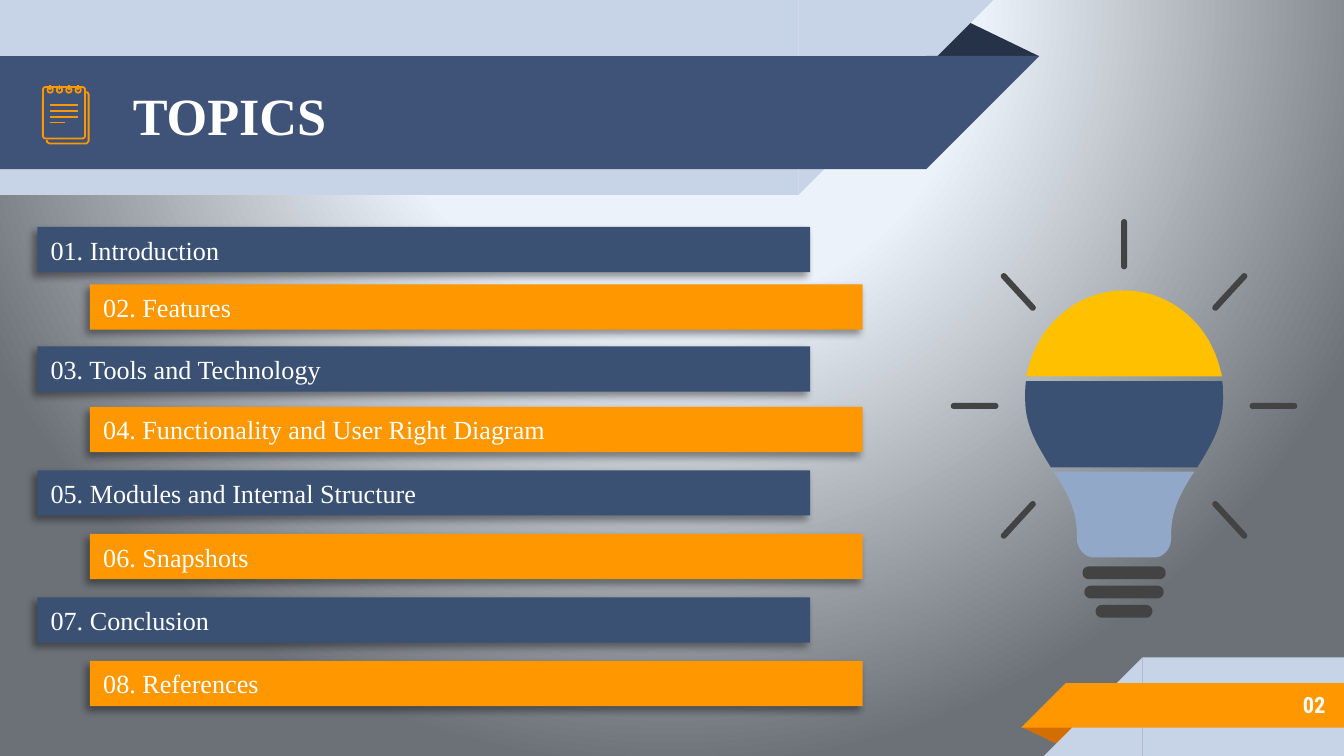
import math
import pptx
import pptx.dml.color
import pptx.enum.shapes
import pptx.enum.text
import pptx.oxml
import pptx.oxml.ns
import pptx.util

Pt = pptx.util.Pt
RGB = pptx.dml.color.RGBColor
SHAPE = pptx.enum.shapes.MSO_SHAPE
LINE = pptx.enum.shapes.MSO_CONNECTOR.STRAIGHT
MIDDLE = pptx.enum.text.MSO_ANCHOR.MIDDLE
ALIGN = pptx.enum.text.PP_ALIGN
qn = pptx.oxml.ns.qn

WHITE = RGB(0xFF, 0xFF, 0xFF)
PALE = RGB(0xC7, 0xD3, 0xE6)
NAVY = RGB(0x3F, 0x53, 0x78)
BLUE = RGB(0x3A, 0x51, 0x73)
DARK = RGB(0x26, 0x32, 0x48)
ORANGE = RGB(0xFF, 0x98, 0x00)
RUST = RGB(0xD2, 0x6F, 0x00)
YELLOW = RGB(0xFF, 0xC0, 0x00)
SKY = RGB(0x92, 0xA8, 0xC8)
GREY = RGB(0x43, 0x43, 0x43)

NS = 'xmlns:a="http://schemas.openxmlformats.org/drawingml/2006/main"'
GRADIENT = f'''<a:gradFill {NS} rotWithShape="1"><a:gsLst>
<a:gs pos="0"><a:srgbClr val="EFF4FB"/></a:gs>
<a:gs pos="40000"><a:srgbClr val="ECF2F9"/></a:gs>
<a:gs pos="100000"><a:srgbClr val="6C7177"/></a:gs></a:gsLst>
<a:path path="circle"><a:fillToRect l="50000" t="-80000" r="50000" b="180000"/></a:path>
</a:gradFill>'''
SHADOW = f'''<a:outerShdw {NS} blurRad="50800" dist="38100" dir="8100000" algn="tr"
rotWithShape="0"><a:srgbClr val="000000"><a:alpha val="40000"/></a:srgbClr></a:outerShdw>'''

TITLE = {"name": "Times New Roman", "size": Pt(28), "bold": True}
TOPIC = {"name": "Times New Roman", "size": Pt(14), "bold": False}
NUMBER = {"name": "Roboto Condensed", "size": Pt(12), "bold": True}


class Slide:
    stroke = 0.96

    def __init__(self, prs):
        self.s = prs.slides.add_slide(prs.slide_layouts[6])
        self.shapes = self.s.shapes

    def group(self):
        self.shapes = self.s.shapes.add_group_shape().shapes

    def ungroup(self):
        self.shapes = self.s.shapes

    def background(self):
        fill = self.s.background.fill
        fill.solid()
        old = self.s.element.find(".//" + qn("p:bgPr"))[0]
        old.getparent().replace(old, pptx.oxml.parse_xml(GRADIENT))

    def paint(self, sp, fill):
        sp.shadow.inherit = False
        if fill is None:
            sp.fill.background()
            sp.line.color.rgb = ORANGE
            sp.line.width = Pt(self.stroke)
        else:
            sp.fill.solid()
            sp.fill.fore_color.rgb = fill
            sp.line.fill.background()
        return sp

    def shape(self, kind, x, y, w, h, fill=None, adj=None, rot=0, flip=False):
        sp = self.shapes.add_shape(kind, Pt(x), Pt(y), Pt(w), Pt(h))
        if adj is not None:
            sp.adjustments[0] = adj
        sp.rotation = rot
        if flip:
            sp.element.spPr.find(qn("a:xfrm")).set("flipH", "1")
        return self.paint(sp, fill)

    def label(self, sp, text, style, align=ALIGN.LEFT, inset=None):
        tf = sp.text_frame
        tf.word_wrap = True
        tf.vertical_anchor = MIDDLE
        if inset is not None:
            for side in ("left", "top", "right", "bottom"):
                setattr(tf, f"margin_{side}", Pt(inset))
        p = tf.paragraphs[0]
        p.alignment = align
        r = p.add_run()
        r.text = text
        for key, value in style.items():
            setattr(r.font, key, value)
        r.font.color.rgb = WHITE

    def text(self, x, y, w, h, text, style, align=ALIGN.LEFT):
        sp = self.shapes.add_textbox(Pt(x), Pt(y), Pt(w), Pt(h))
        self.label(sp, text, style, align, 7.2)

    def bar(self, x, y, fill, text):
        sp = self.shape(SHAPE.RECTANGLE, x, y, 414, 24.2, fill)
        sp.element.spPr.find(qn("a:effectLst")).append(pptx.oxml.parse_xml(SHADOW))
        self.label(sp, text, TOPIC)

    def line(self, x1, y1, x2, y2):
        c = self.shapes.add_connector(LINE, Pt(x1), Pt(y1), Pt(x2), Pt(y2))
        c.line.color.rgb = ORANGE
        c.line.width = Pt(self.stroke)
        c.element.spPr.append(pptx.oxml.parse_xml(f"<a:effectLst {NS}/>"))

    def outline(self, points, fill=None):
        pts = [(Pt(x), Pt(y)) for x, y in points]
        fb = self.shapes.build_freeform(*pts[0], scale=1.0)
        fb.add_line_segments(pts[1:], close=fill is not None)
        self.paint(fb.convert_to_shape(), fill)

    def mirrored(self, cx, half, fill):
        pts = []
        for seg in half:
            pts += [seg] if len(seg) == 2 else cubic(pts[-1], seg)
        left = [(cx - dx, y) for dx, y in reversed(pts)]
        self.outline([(cx + dx, y) for dx, y in pts] + left, fill)

    def capsule(self, x1, y1, x2, y2, width, fill):
        a = math.atan2(y2 - y1, x2 - x1)
        pts = []
        for x, y, turn in ((x2, y2, -90), (x1, y1, 90)):
            for step in range(0, 181, 20):
                t = a + math.radians(turn + step)
                pts.append((x + width / 2 * math.cos(t), y + width / 2 * math.sin(t)))
        self.outline(pts, fill)


def cubic(start, seg, steps=16):
    ends = (start, seg[:2], seg[2:4], seg[4:])
    pts = []
    for i in range(1, steps + 1):
        t = i / steps
        k = ((1 - t) ** 3, 3 * t * (1 - t) ** 2, 3 * t * t * (1 - t), t ** 3)
        pts.append(tuple(sum(w * e[axis] for w, e in zip(k, ends)) for axis in (0, 1)))
    return pts


def banner(s):
    s.group()
    s.shape(SHAPE.ISOSCELES_TRIANGLE, 495.4, 10.1, 61.2, 20, DARK, adj=0.324)
    for y, w, h, fill in ((0, 427.7, 104.4, PALE), (30, 496.2, 60.6, NAVY)):
        s.shape(SHAPE.RECTANGLE, 0, y, w, h, fill, rot=180, flip=True)
        s.shape(SHAPE.RIGHT_TRIANGLE, w, y, h, h, fill, rot=180, flip=True)
    s.group()
    s.shape(SHAPE.ISOSCELES_TRIANGLE, 547.2, 389.5, 31, 10, RUST, adj=0.324, rot=180)
    for x, y, h, fill in ((612, 352.2, 52.8, PALE), (571, 366, 23.8, ORANGE)):
        s.shape(SHAPE.RECTANGLE, x, y, 720 - x, h, fill, flip=True)
        s.shape(SHAPE.RIGHT_TRIANGLE, x - h, y, h, h, fill, flip=True)
    s.ungroup()
    s.text(64.1, 31, 414, 60.5, "TOPICS", TITLE)
    s.text(599.8, 365, 117.4, 25.2, "02", NUMBER, ALIGN.RIGHT)


def notepad(s):
    s.group()
    s.outline([(25, 74.9), (25.3, 76.2), (26.6, 76.9), (46.4, 76.9),
               (47.5, 75.7), (47.5, 50.6), (47, 49.6), (46, 49.4)])
    s.shape(SHAPE.ROUNDED_RECTANGLE, 23, 46.7, 22.6, 27.5, adj=0.06)
    for i in range(4):
        x = 26.9 + 5 * i
        s.shape(SHAPE.OVAL, x - 1.45, 46.8, 2.9, 2.9)
        s.line(x, 45.3, x, 48.2)
        y = 56.1 + 3.2 * i
        s.line(26.6, y, 34.6 if i == 3 else 42, y)
    s.ungroup()


def bulb(s):
    cx, cy = 602.2, 217.5
    s.group()
    s.mirrored(cx, [(0, 155.6), (17.5, 155.6, 35, 164.7, 45.7, 182.9), (46.6, 185),
                    (49.5, 190.1, 51.1, 195.8, 52.4, 201.6)], YELLOW)
    s.mirrored(cx, [(52.6, 204.2), (52.9, 206.6, 53, 209, 53, 211.3), (53, 213.8),
                    (53, 228.6, 46.2, 239, 39.2, 250.4)], BLUE)
    s.mirrored(cx, [(37.7, 252.7), (34, 258, 31, 263.5, 28.5, 269.2), (27.8, 271.4),
                    (25.8, 276.5, 25.2, 282.2, 25.2, 288.5),
                    (25.2, 294, 21, 298.6, 16.5, 298.6)], SKY)
    s.capsule(cx, 119, cx, 142.7, 3.2, GREY)
    for side in (-1, 1):
        s.capsule(cx + 68.9 * side, cy, cx + 91.2 * side, cy, 3.2, GREY)
        for up in (-1, 1):
            s.capsule(cx + 48.9 * side, cy + 52.6 * up,
                      cx + 64.4 * side, cy + 69.5 * up, 3.2, GREY)
    for i, half in enumerate((18.9, 17.8, 11.8)):
        y = 306.9 + 10.3 * i
        s.capsule(cx - half, y, cx + half, y, 6.9, GREY)
    s.ungroup()


def main():
    prs = pptx.Presentation()
    prs.slide_width, prs.slide_height = Pt(720), Pt(405)
    s = Slide(prs)
    s.background()
    banner(s)
    notepad(s)
    topics = ("Introduction", "Features", "Tools and Technology",
              "Functionality and User Right Diagram", "Modules and Internal Structure",
              "Snapshots", "Conclusion", "References")
    tops = (121.6, 152.4, 185.6, 218, 252, 286.1, 320.1, 354.1)
    for i, (topic, y) in enumerate(zip(topics, tops)):
        x, fill = ((20, BLUE), (48.2, ORANGE))[i % 2]
        s.bar(x, y, fill, f"{i + 1:02}. {topic}")
    bulb(s)
    prs.save("out.pptx")


if __name__ == "__main__":
    main()
